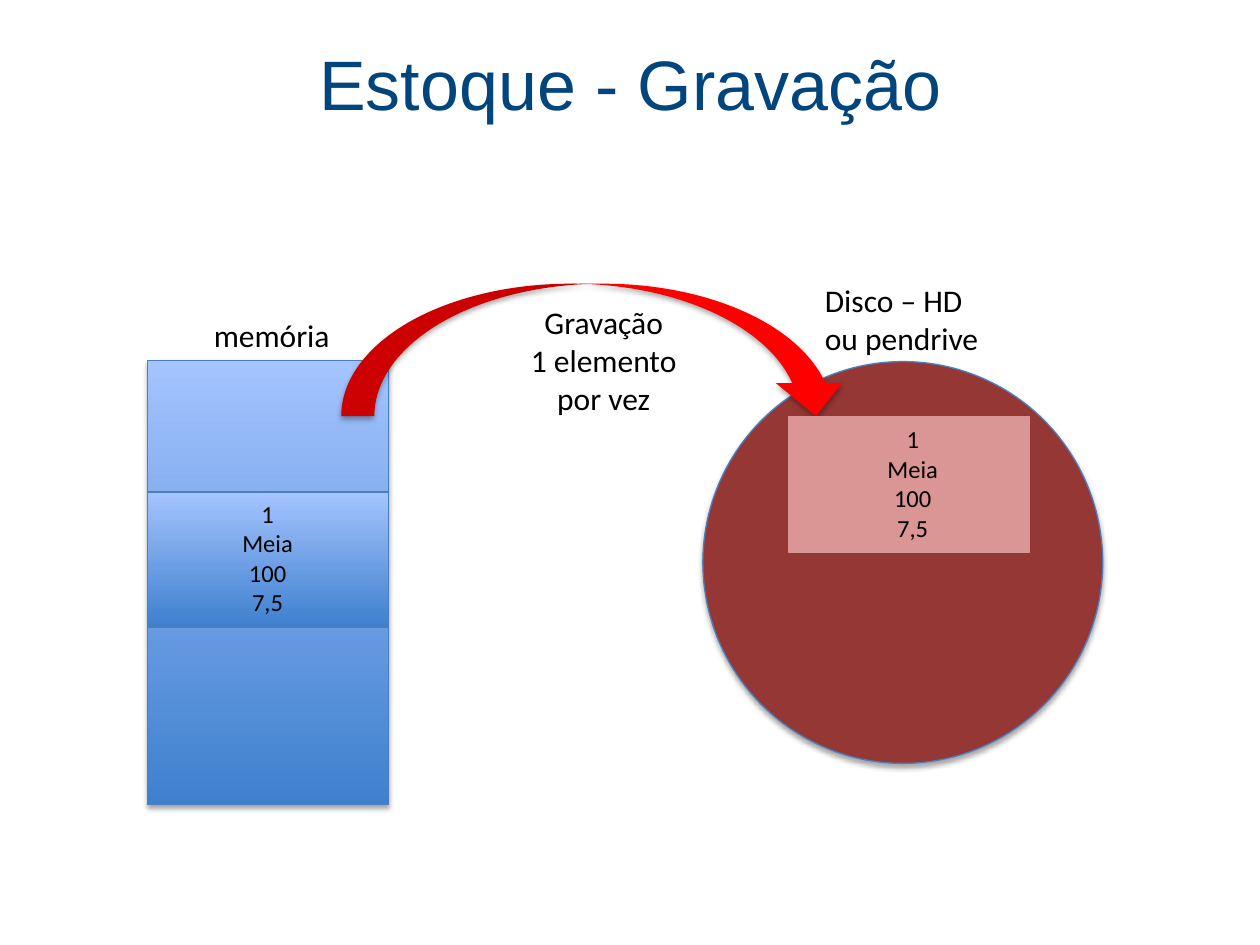
from dataclasses import dataclass

from lxml import etree
from pptx import Presentation
from pptx.dml.color import RGBColor as Rgb
from pptx.enum.shapes import MSO_SHAPE as Shape
from pptx.enum.text import MSO_ANCHOR as Anchor, PP_ALIGN as Align
from pptx.oxml import parse_xml
from pptx.util import Cm, Pt

SHADOW_XML = (
    '<a:effectLst xmlns:a="http://schemas.openxmlformats.org/drawingml/2006/main">'
    '<a:outerShdw blurRad="39400" dist="22900" dir="5400000" rotWithShape="0">'
    '<a:srgbClr val="000000"><a:alpha val="35000"/></a:srgbClr>'
    "</a:outerShdw></a:effectLst>"
)


@dataclass(frozen=True)
class Theme:
    title_font: str = "Arial"
    body_font: str = "Calibri"
    title_size: int = 40
    label_size: int = 18
    record_size: int = 14
    title: str = "00457C"
    text: str = "000000"
    memory: tuple = ("3F80CE", "A4C4FF")
    outline: str = "4B7EBC"
    disk: str = "953735"
    disk_record: str = "D99694"
    arrow: str = "FF0000"


class SlideBuilder:
    def __init__(self, page, theme):
        self.page = page
        self.theme = theme

    def shape(self, kind, area, fill, line=None, shadow=False):
        """Add a preset shape; a pair of colours gives a bottom-to-top gradient."""
        item = self.page.shapes.add_shape(kind, *map(Cm, area))
        if isinstance(fill, tuple):
            item.fill.gradient()
            item.fill.gradient_angle = 90
            for stop, color, position in zip(item.fill.gradient_stops, fill, (0, 1)):
                stop.color.rgb = Rgb.from_string(color)
                stop.position = position
        else:
            item.fill.solid()
            item.fill.fore_color.rgb = Rgb.from_string(fill)
        if line:
            item.line.color.rgb = Rgb.from_string(line)
            item.line.width = Pt(0.75)
        else:
            item.line.fill.background()
        item.shadow.inherit = False
        if shadow:
            properties = item.fill._xPr
            effects = properties.find("{*}effectLst")
            properties.replace(effects, parse_xml(SHADOW_XML))

    def text(self, area, lines, size, align=Align.CENTER, font=None, color=None,
             anchor=Anchor.TOP):
        box = self.page.shapes.add_textbox(*map(Cm, area))
        frame = box.text_frame
        frame.word_wrap = True
        frame.vertical_anchor = anchor
        for index, line in enumerate(lines):
            para = frame.add_paragraph() if index else frame.paragraphs[0]
            para.text = line
            para.alignment = align
            para.font.name = font or self.theme.body_font
            para.font.size = Pt(size)
            para.font.color.rgb = Rgb.from_string(color or self.theme.text)

    def title(self, area, words):
        theme = self.theme
        self.text(area, [words], theme.title_size, font=theme.title_font,
                  color=theme.title, anchor=Anchor.MIDDLE)

    def label(self, area, *lines, align=Align.CENTER):
        self.text(area, lines, self.theme.label_size, align)

    def record(self, area, fields):
        self.text(area, fields, self.theme.record_size)


def main():
    deck = Presentation()
    deck.slide_width, deck.slide_height = Cm(25.4), Cm(19.05)
    theme = Theme()
    slide = SlideBuilder(deck.slides.add_slide(deck.slide_layouts[6]), theme)
    record = ("1", "Meia", "100", "7,5")

    slide.title((0.88, 0.08, 23.65, 3.18), "Estoque - Gravação")

    # Memory block with the record slot
    slide.shape(Shape.RECTANGLE, (2.97, 7.27, 4.86, 8.95), theme.memory,
                theme.outline, shadow=True)
    slide.shape(Shape.RECTANGLE, (2.97, 9.92, 4.86, 2.72), theme.memory, theme.outline)
    slide.label((4.06, 6.25, 3.18, 1.02), "memória", align=Align.LEFT)

    # Disk
    slide.shape(Shape.OVAL, (14.17, 7.29, 8.06, 8.1), theme.disk,
                theme.outline, shadow=True)
    slide.label((16.38, 5.54, 4.04, 1.8), "Disco – HD\vou pendrive", align=Align.LEFT)

    # Transfer from memory to disk
    slide.shape(Shape.CURVED_DOWN_ARROW, (6.88, 5.72, 10.24, 2.67), theme.arrow,
                shadow=True)
    slide.label((10.34, 5.99, 3.66, 2.57), "Gravação", "1 elemento por vez")

    # The same record in memory and on disk
    slide.record((4.57, 9.93, 1.65, 2.64), record)
    slide.shape(Shape.RECTANGLE, (15.9, 8.41, 4.86, 2.72), theme.disk_record,
                theme.disk_record)
    slide.record((17.27, 8.43, 2.26, 2.64), record)

    deck.save("out.pptx")


if __name__ == "__main__":
    main()
